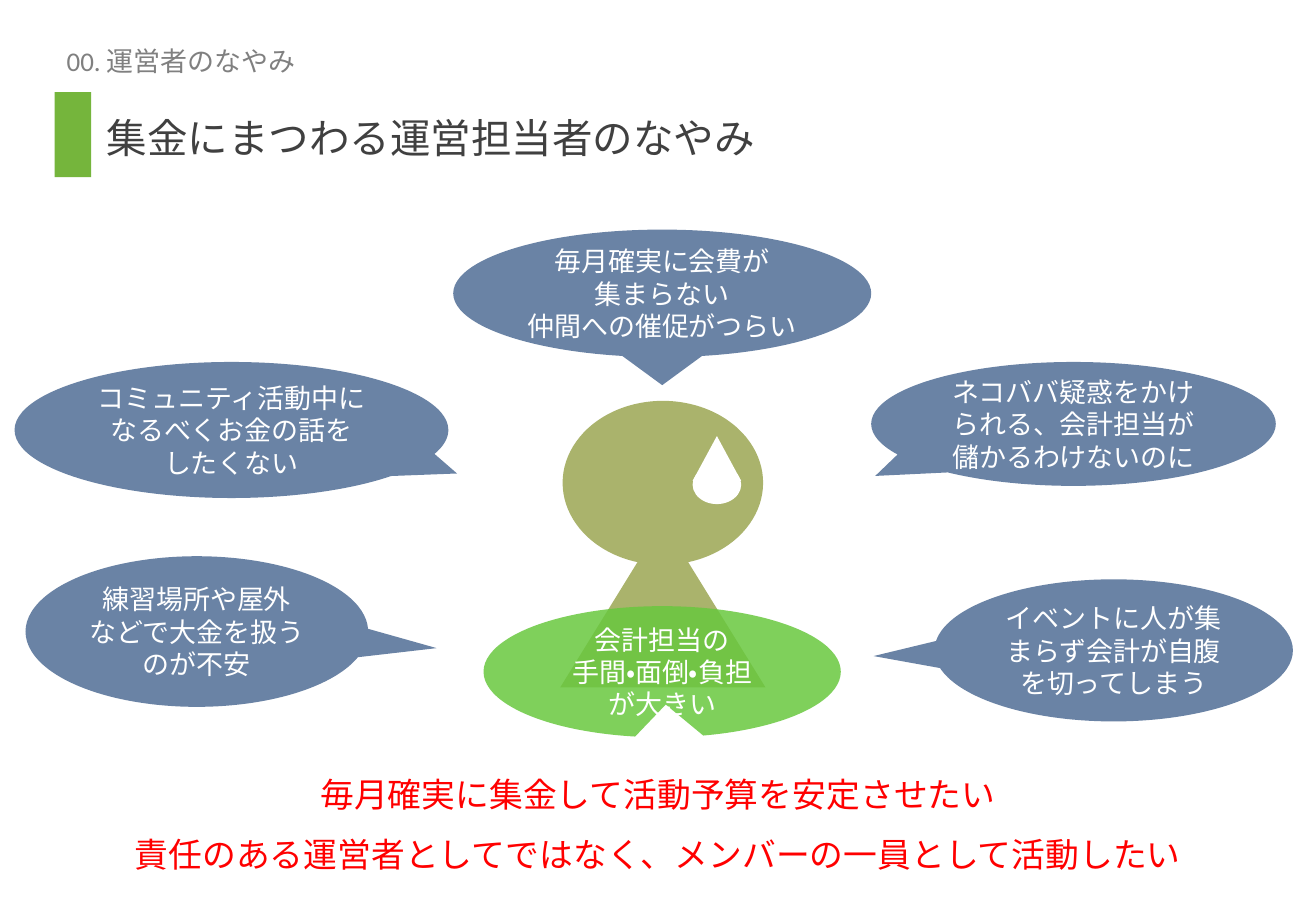
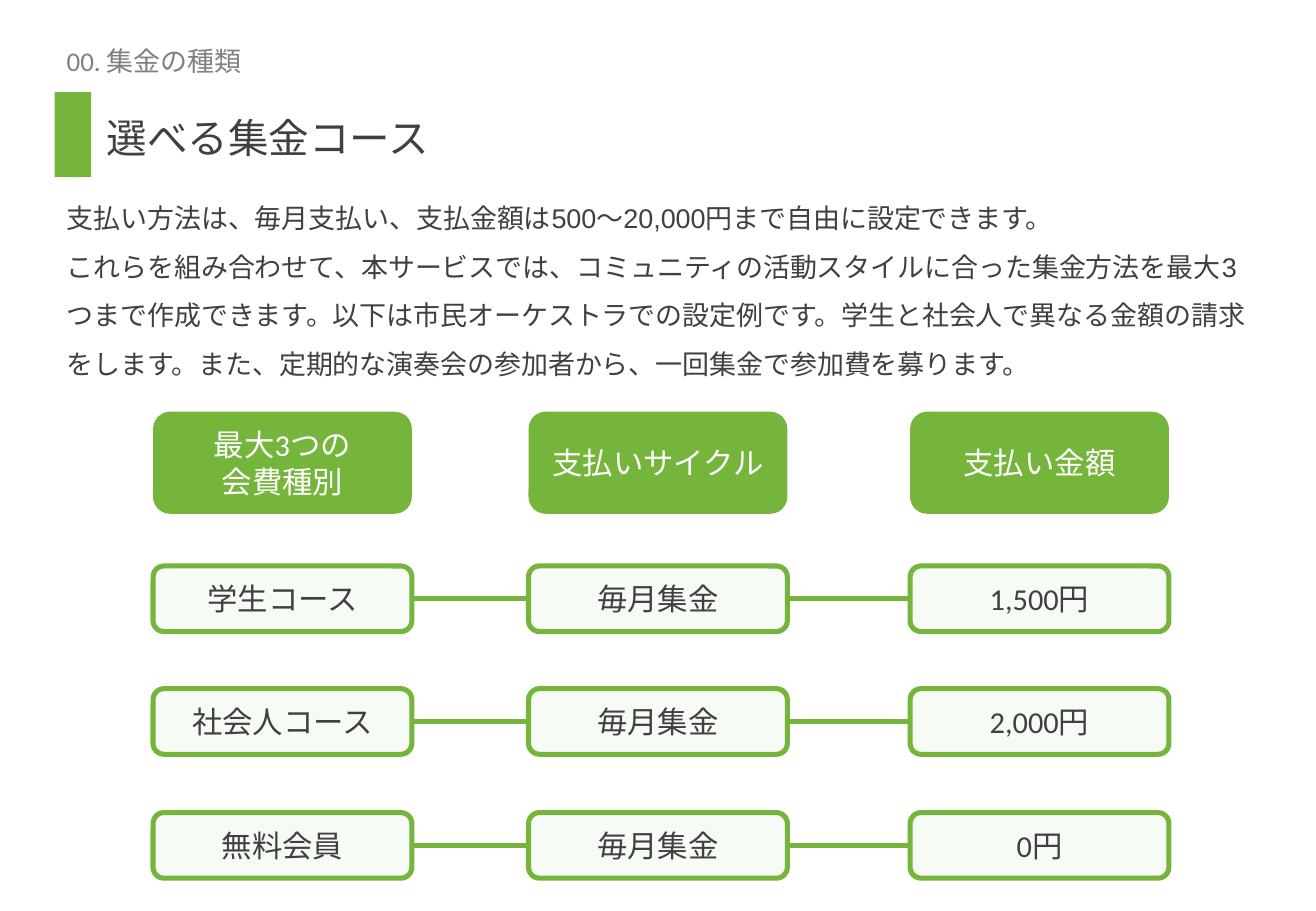
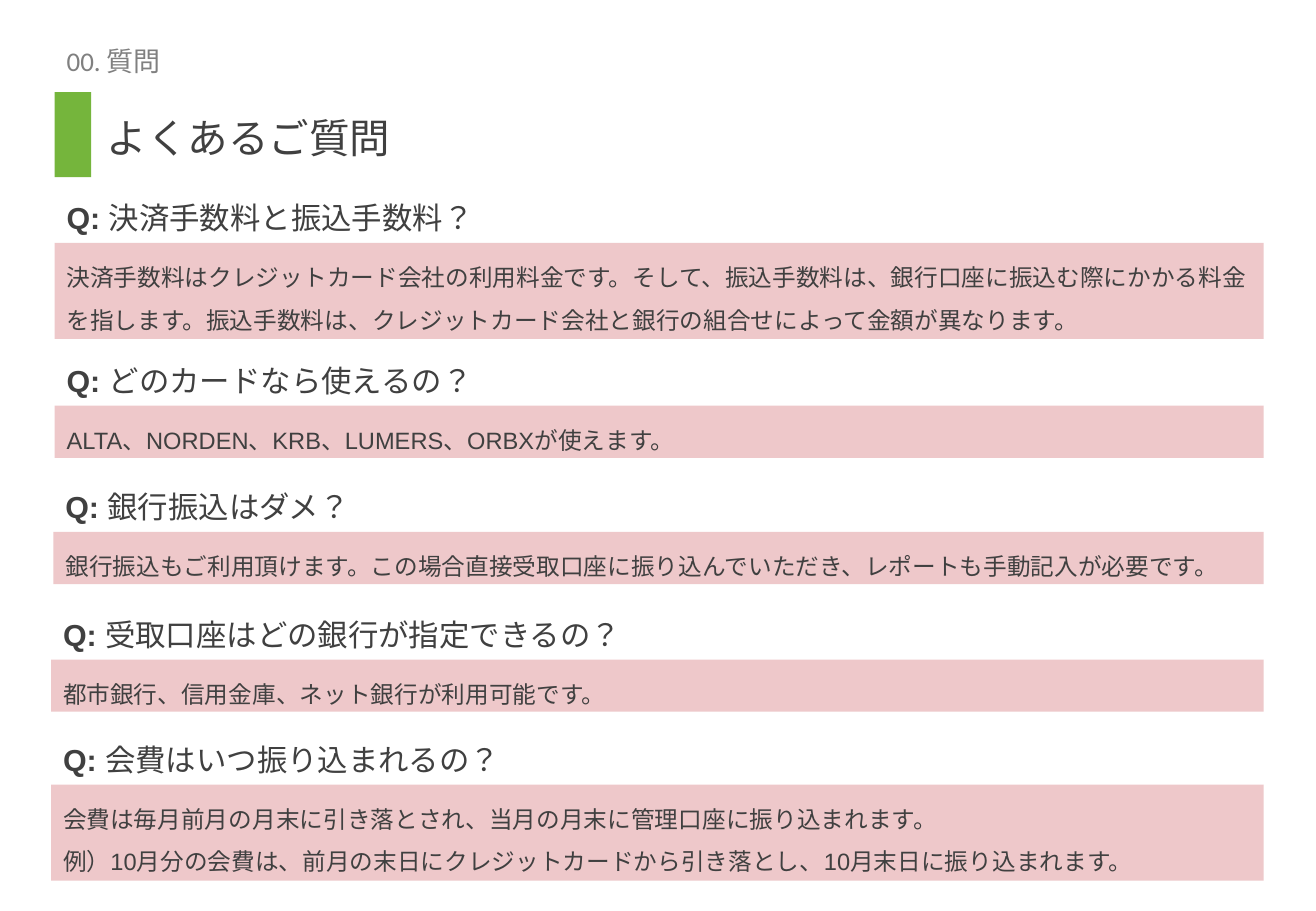
from dataclasses import dataclass
from itertools import pairwise
from typing import Any, NamedTuple

from lxml.etree import SubElement
from pptx import Presentation
from pptx.dml.color import RGBColor
from pptx.enum.lang import MSO_LANGUAGE_ID
from pptx.enum.shapes import MSO_CONNECTOR, MSO_SHAPE
from pptx.enum.text import MSO_ANCHOR, PP_ALIGN
from pptx.oxml.ns import qn
from pptx.shapes.autoshape import Shape
from pptx.slide import Slide
from pptx.util import Inches, Pt

GREEN = RGBColor(0x75, 0xB5, 0x3C)
LIME = RGBColor(0x69, 0xC8, 0x3F)
BLUE = RGBColor(0x51, 0x6E, 0x96)
OLIVE = RGBColor(0xAA, 0xB3, 0x6C)
ROSE = RGBColor(0xCF, 0x63, 0x68)
RED = RGBColor(0xFF, 0x00, 0x00)
WHITE = RGBColor(0xFF, 0xFF, 0xFF)
GRAY = RGBColor(0x80, 0x80, 0x80)
DARK = RGBColor(0x40, 0x40, 0x40)

LEFT, WIDTH, RIGHT = 0.45, 9.95, 10.4


class Box(NamedTuple):
    x: float
    y: float
    w: float
    h: float

    def emu(self) -> list[int]:
        return [Inches(v) for v in self]


@dataclass(frozen=True)
class Style:
    face: str
    size: int
    ink: RGBColor
    align: PP_ALIGN = PP_ALIGN.LEFT
    gap: float = 1.0
    anchor: MSO_ANCHOR = MSO_ANCHOR.TOP

    def font(self) -> dict[str, Any]:
        return {"name": self.face, "size": Pt(self.size),
                "language_id": MSO_LANGUAGE_ID.JAPANESE}

    def para(self) -> dict[str, Any]:
        return {"alignment": self.align, "line_spacing": self.gap}


MID = {"align": PP_ALIGN.CENTER, "anchor": MSO_ANCHOR.MIDDLE}
TOPIC = Style("Calibri", 16, GRAY, anchor=MSO_ANCHOR.MIDDLE)
TITLE = Style("Arial", 24, DARK, gap=1.5, anchor=MSO_ANCHOR.BOTTOM)
BODY = Style("Arial", 16, DARK, gap=1.5)
VOICE = Style("Arial", 16, WHITE, **MID)
WISH = Style("Calibri", 20, RED, gap=1.5, **MID)
HEAD = Style("Calibri", 18, WHITE, **MID)
CELL = Style("Calibri", 18, DARK, **MID)
ASK = Style("Arial", 18, DARK)
REPLY = Style("Arial", 14, DARK, gap=1.5)


class Bubble(NamedTuple):
    box: Box
    tip: tuple[float, float]
    text: str
    fill: RGBColor = BLUE


class Part(NamedTuple):
    kind: MSO_SHAPE
    box: Box
    fill: RGBColor


class Column(NamedTuple):
    x: float
    head: str
    cells: tuple[str, ...]


class Faq(NamedTuple):
    x: float
    y: float
    h: float
    ask: str
    reply: str


BUBBLES = [
    Bubble(Box(0.21, 4.58, 2.82, 1.24), (0.7, 0.11),
           "練習場所や屋外\nなどで大金を扱うのが不安"),
    Bubble(Box(3.73, 1.89, 3.44, 1.05), (0, 0.72),
           "毎月確実に会費が\n集まらない\n仲間への催促がつらい"),
    Bubble(Box(7.17, 2.98, 3.33, 1.02), (-0.49, 0.42),
           "ネコババ疑惑をかけられる、会計担当が儲かるわけないのに"),
    Bubble(Box(0.12, 2.98, 3.57, 1.12), (0.52, 0.32),
           "コミュニティ活動中になるべくお金の話を\nしたくない"),
    Bubble(Box(7.69, 4.77, 2.95, 1.17), (-0.67, 0.04),
           "イベントに人が集まらず会計が自腹を切ってしまう"),
]
BURDEN = Bubble(Box(3.98, 4.99, 2.94, 1.08), (0.01, 0.25),
                "会計担当の\n手間・面倒・負担\nが大きい", LIME)
PERSON = [
    Part(MSO_SHAPE.ISOSCELES_TRIANGLE, Box(4.61, 4.29, 1.69, 1.37), OLIVE),
    Part(MSO_SHAPE.OVAL, Box(4.63, 3.3, 1.65, 1.35), OLIVE),
    Part(MSO_SHAPE.OVAL, Box(5.7, 3.83, 0.4, 0.32), WHITE),
    Part(MSO_SHAPE.ISOSCELES_TRIANGLE, Box(5.7, 3.59, 0.4, 0.37), WHITE),
]
WISHES = ("毎月確実に集金して活動予算を安定させたい\n"
          "責任のある運営者としてではなく、メンバーの一員として活動したい")

INTRO = ("支払い方法は、毎月支払い、支払金額は500〜20,000円まで自由に設定できます。\n"
         "これらを組み合わせて、本サービスでは、コミュニティの活動スタイルに合った"
         "集金方法を最大3つまで作成できます。以下は市民オーケストラでの設定例です。"
         "学生と社会人で異なる金額の請求をします。また、定期的な演奏会の参加者から、"
         "一回集金で参加費を募ります。")
COLUMNS = [
    Column(1.26, "最大3つの\n会費種別", ("学生コース", "社会人コース", "無料会員")),
    Column(4.35, "支払いサイクル", ("毎月集金",) * 3),
    Column(7.49, "支払い金額", ("1,500円", "2,000円", "0円")),
]
CELL_W, CELL_H, HEAD_H = 2.13, 0.54, 0.84
HEAD_Y, ROWS = 3.39, [4.66, 5.67, 6.69]

FAQS = [
    Faq(0.45, 2, 0.79, "決済手数料と振込手数料？",
        "決済手数料はクレジットカード会社の利用料金です。そして、振込手数料は、"
        "銀行口座に振込む際にかかる料金を指します。振込手数料は、"
        "クレジットカード会社と銀行の組合せによって金額が異なります。"),
    Faq(0.45, 3.34, 0.43, "どのカードなら使えるの？",
        "ALTA、NORDEN、KRB、LUMERS、ORBXが使えます。"),
    Faq(0.44, 4.38, 0.43, "銀行振込はダメ？",
        "銀行振込もご利用頂けます。この場合直接受取口座に振り込んでいただき、"
        "レポートも手動記入が必要です。"),
    Faq(0.42, 5.43, 0.43, "受取口座はどの銀行が指定できるの？",
        "都市銀行、信用金庫、ネット銀行が利用可能です。"),
    Faq(0.42, 6.46, 0.79, "会費はいつ振り込まれるの？",
        "会費は毎月前月の月末に引き落とされ、当月の月末に管理口座に振り込まれます。\n"
        "例）10月分の会費は、前月の末日にクレジットカードから引き落とし、"
        "10月末日に振り込まれます。"),
]


def write(shape: Shape, text: str, style: Style, lead: str = "") -> None:
    """Fill a shape with one paragraph a line; a lead is set bold before each."""
    frame = shape.text_frame
    frame.word_wrap = True
    frame.vertical_anchor = style.anchor
    for i, line in enumerate(text.split("\n")):
        para = frame.add_paragraph() if i else frame.paragraphs[0]
        for key, value in style.para().items():
            setattr(para, key, value)
        for part, bold in ((lead, True), (line, False)):
            if not part:
                continue
            run = para.add_run()
            run.text = part
            for key, value in {**style.font(), "bold": bold}.items():
                setattr(run.font, key, value)
            run.font.color.rgb = style.ink


def label(slide: Slide, box: Box, text: str, style: Style, lead: str = "") -> None:
    write(slide.shapes.add_textbox(*box.emu()), text, style, lead)


def draw(slide: Slide, kind: MSO_SHAPE, box: Box, fill: RGBColor,
         alpha: int = 100, edge: RGBColor | None = None) -> Shape:
    """Add a flat shape; alpha is the opacity of its fill in percent."""
    shape = slide.shapes.add_shape(kind, *box.emu())
    shape.shadow.inherit = False
    shape.fill.solid()
    shape.fill.fore_color.rgb = fill
    if alpha < 100:
        tint = shape.element.spPr.find(qn("a:solidFill")).find(qn("a:srgbClr"))
        SubElement(tint, qn("a:alpha")).set("val", str(alpha * 1000))
    if edge is None:
        shape.line.fill.background()
    else:
        shape.line.color.rgb = edge
        shape.line.width = Pt(3)
    return shape


def link(slide: Slide, start: float, end: float, y: float) -> None:
    line = slide.shapes.add_connector(
        MSO_CONNECTOR.STRAIGHT, Inches(start), Inches(y), Inches(end), Inches(y))
    line.line.color.rgb = GREEN
    line.line.width = Pt(3)
    SubElement(line.element.spPr, qn("a:effectLst"))


def start(deck: Any, topic: str, title: str) -> Slide:
    """Add a slide with the shared header."""
    slide = deck.slides.add_slide(deck.slide_layouts[6])
    draw(slide, MSO_SHAPE.RECTANGLE, Box(LEFT, 0.76, 0.3, 0.7), GREEN)
    label(slide, Box(LEFT, 0.32, WIDTH, 0.36), f"00. {topic}", TOPIC)
    label(slide, Box(0.78, 0.68, RIGHT - 0.78, 0.7), title, TITLE)
    return slide


def speak(slide: Slide, bubble: Bubble) -> None:
    shape = draw(slide, MSO_SHAPE.OVAL_CALLOUT, bubble.box, bubble.fill, 85)
    for i, value in enumerate(bubble.tip):
        shape.adjustments[i] = value
    write(shape, bubble.text, VOICE)


def worries(deck: Any) -> None:
    slide = start(deck, "運営者のなやみ", "集金にまつわる運営担当者のなやみ")
    for bubble in BUBBLES:
        speak(slide, bubble)
    for part in PERSON:
        draw(slide, *part)
    label(slide, Box(0.85, 6.11, 9.13, 1.18), WISHES, WISH)
    speak(slide, BURDEN)


def courses(deck: Any) -> None:
    slide = start(deck, "集金の種類", "選べる集金コース")
    label(slide, Box(LEFT, 1.48, WIDTH, 1.69), INTRO, BODY)
    for one, two in pairwise(COLUMNS):
        for y in ROWS:
            link(slide, one.x + CELL_W, two.x, y + CELL_H / 2)
    for col in COLUMNS:
        head = draw(slide, MSO_SHAPE.ROUNDED_RECTANGLE,
                    Box(col.x, HEAD_Y, CELL_W, HEAD_H), GREEN)
        write(head, col.head, HEAD)
        for y, text in zip(ROWS, col.cells):
            cell = draw(slide, MSO_SHAPE.ROUNDED_RECTANGLE,
                        Box(col.x, y, CELL_W, CELL_H), GREEN, 5, GREEN)
            write(cell, text, CELL)


def answers(deck: Any) -> None:
    slide = start(deck, "質問", "よくあるご質問")
    for faq in FAQS:
        wide = RIGHT - faq.x
        label(slide, Box(faq.x, faq.y - 0.41, wide, 0.4), faq.ask, ASK, "Q: ")
        band = draw(slide, MSO_SHAPE.RECTANGLE,
                    Box(faq.x, faq.y, wide, faq.h), ROSE, 35)
        write(band, faq.reply, REPLY)


def main() -> None:
    deck = Presentation()
    deck.slide_width, deck.slide_height = Inches(10.83), Inches(7.5)
    for build in (worries, courses, answers):
        build(deck)
    deck.save("out.pptx")


if __name__ == "__main__":
    main()
